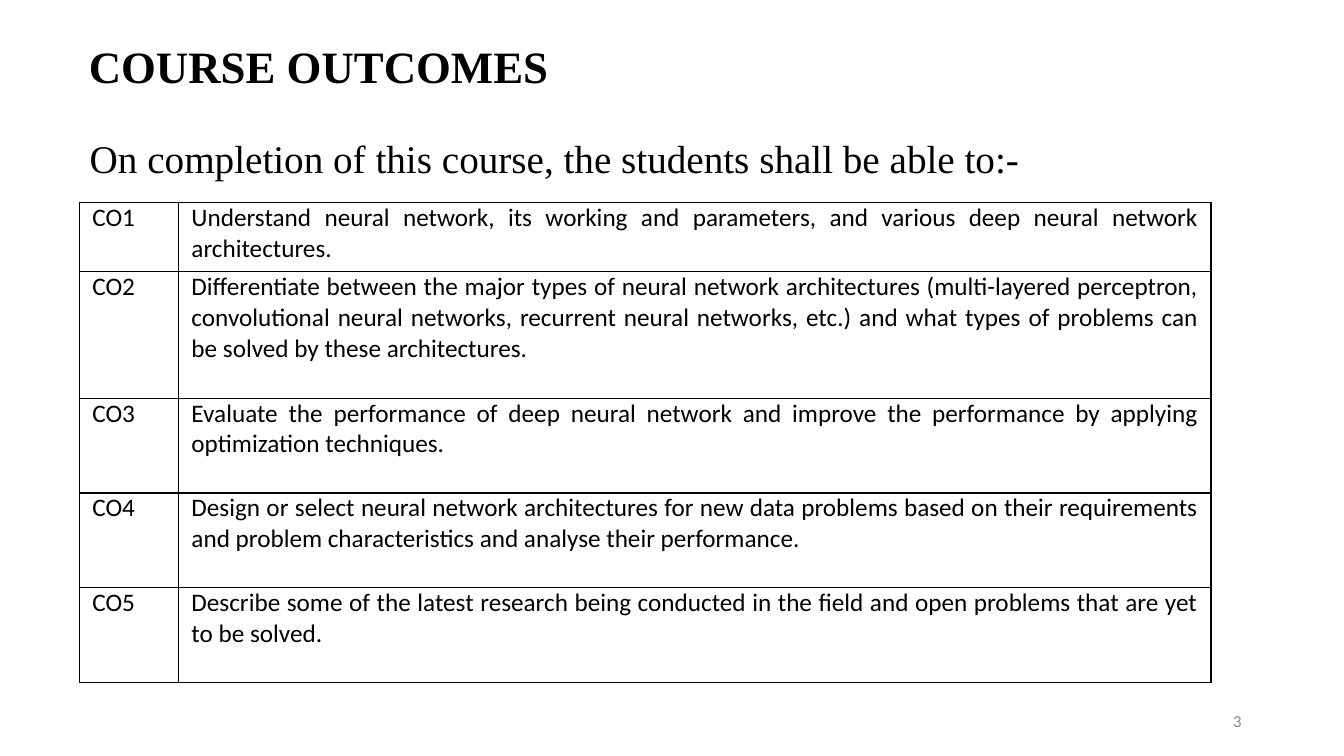
"""Build the course outcomes slide with its table of five outcomes."""
import pptx
import pptx.dml.color
import pptx.enum.text
import pptx.oxml
import pptx.oxml.ns
import pptx.util

Pt = pptx.util.Pt
ALIGN = pptx.enum.text.PP_ALIGN
ANCHOR = pptx.enum.text.MSO_ANCHOR
COLOURS = {"ink": "000000", "number": "8C8C8C"}
OUTCOMES = [
    "Understand neural network, its working and parameters, and various deep neural network architectures.",
    "Differentiate between the major types of neural network architectures (multi-layered perceptron, "
    "convolutional neural networks, recurrent neural networks, etc.) and what types of problems can be "
    "solved by these architectures.",
    "Evaluate the performance of deep neural network and improve the performance by applying "
    "optimization techniques.",
    "Design or select neural network architectures for new data problems based on their requirements "
    "and problem characteristics and analyse their performance.",
    "Describe some of the latest research being conducted in the field and open problems that are yet "
    "to be solved.",
]
COLUMN_WIDTHS = [70.8, 737.2]
ROW_HEIGHTS = [49.5, 90.4, 67.7, 67.7, 67.7]


def write(frame, text, align, size, font="Calibri", colour="ink", bold=False):
    para = frame.paragraphs[0]
    para.alignment = align
    span = para.add_run()
    span.text = text
    for name, value in {"size": Pt(size), "name": font, "bold": bold}.items():
        setattr(span.font, name, value)
    span.font.color.rgb = pptx.dml.color.RGBColor.from_string(COLOURS[colour])
    return para


def place(box, left, top, width, height, anchor, wrap=True):
    bounds = {"left": left, "top": top, "width": width, "height": height}
    for name, value in bounds.items():
        setattr(box, name, Pt(value))
    box.text_frame.vertical_anchor = anchor
    box.text_frame.word_wrap = wrap
    return box.text_frame


deck = pptx.Presentation()
deck.slide_width, deck.slide_height = Pt(960), Pt(540)
page = deck.slides.add_slide(deck.slide_layouts[5])

title = place(page.shapes.title, 56.2, 28, 875.5, 42.5, ANCHOR.BOTTOM)
title.auto_size = pptx.enum.text.MSO_AUTO_SIZE.NONE
heading = write(title, "COURSE OUTCOMES", ALIGN.LEFT, 32, "Times New Roman", bold=True)
heading.line_spacing = 0.9

number_box = page.shapes.add_textbox(0, 0, 0, 0)
number = place(number_box, 678, 500.5, 216, 28.8, ANCHOR.MIDDLE)
write(number, "3", ALIGN.RIGHT, 12, colour="number")

intro_box = page.shapes.add_textbox(0, 0, 0, 0)
intro = place(intro_box, 57, 92.2, 684.7, 41, ANCHOR.TOP, wrap=False)
write(intro, "On completion of this course, the students shall be able to:-",
      ALIGN.LEFT, 28, "Times New Roman")

table = page.shapes.add_table(
    len(OUTCOMES), 2, Pt(57), Pt(144.5), Pt(sum(COLUMN_WIDTHS)), Pt(sum(ROW_HEIGHTS))
).table
table.first_row = table.horz_banding = False
for column, width in zip(table.columns, COLUMN_WIDTHS):
    column.width = Pt(width)

for index, (outcome, height) in enumerate(zip(OUTCOMES, ROW_HEIGHTS)):
    table.rows[index].height = Pt(height)
    entries = [(f"CO{index + 1}", ALIGN.LEFT), (outcome, ALIGN.JUSTIFY)]
    for cell, (text, align) in zip(table.rows[index].cells, entries):
        margins = {"margin_left": 9, "margin_right": 9, "margin_top": 0, "margin_bottom": 0}
        for name, value in margins.items():
            setattr(cell, name, Pt(value))
        cell.fill.background()
        write(cell.text_frame, text, align, 18)
        properties = cell._tc.get_or_add_tcPr()
        for order, side in enumerate(["lnL", "lnR", "lnT", "lnB"]):
            border = pptx.oxml.parse_xml(
                f'<a:{side} {pptx.oxml.ns.nsdecls("a")} w="{Pt(1)}"><a:solidFill>'
                f'<a:srgbClr val="{COLOURS["ink"]}"/></a:solidFill></a:{side}>'
            )
            properties.insert(order, border)

deck.save("out.pptx")
